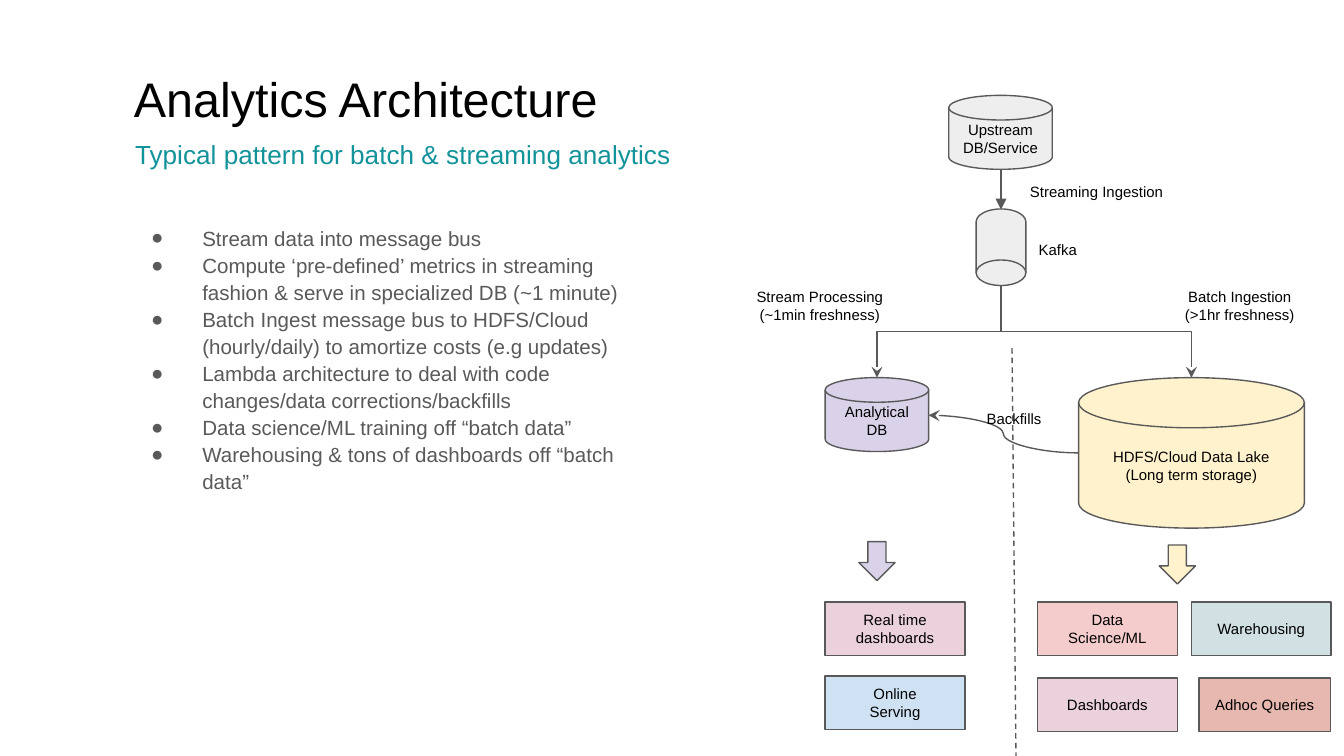
from dataclasses import dataclass

from lxml.etree import SubElement
from pptx import Presentation
from pptx.dml.color import RGBColor
from pptx.enum.dml import MSO_LINE
from pptx.enum.shapes import MSO_CONNECTOR, MSO_SHAPE
from pptx.enum.text import MSO_ANCHOR, PP_ALIGN
from pptx.oxml.ns import qn
from pptx.util import Inches, Pt


@dataclass(frozen=True)
class Theme:
    """Colours, font and type sizes of the slide."""
    font: str = "Arial"
    title_size: int = 26
    subtitle_size: int = 14
    body_size: int = 11
    label_size: int = 8
    line_width: float = 0.75
    black: str = "000000"
    teal: str = "12939A"
    gray: str = "595959"
    silver: str = "EEEEEE"
    lavender: str = "D9D2E9"
    cream: str = "FFF2CC"
    pink: str = "EAD1DC"
    sky: str = "CFE2F3"
    rose: str = "F4CCCC"
    mist: str = "D0E0E3"
    clay: str = "E6B8AF"


THEME = Theme()
WIDTH = Inches(10)
HEIGHT = WIDTH * 9 // 16
CELL = WIDTH / 100


@dataclass(frozen=True)
class Region:
    """A part of the slide whose lengths are counted in grid cells."""
    shapes: object
    left: float
    top: float

    def point(self, col, row):
        """Return the slide position of a grid point."""
        return round((self.left + col) * CELL), round((self.top + row) * CELL)

    def area(self, col, row, cols, rows):
        """Return left, top, width and height of a grid area."""
        return *self.point(col, row), round(cols * CELL), round(rows * CELL)


def write(frame, text, *, size=THEME.label_size, color=THEME.black, inset=0.1,
          align=PP_ALIGN.CENTER, anchor=MSO_ANCHOR.TOP, spacing=None, bullet=None):
    """Fill a text frame with one paragraph per line of text."""
    frame.word_wrap = True
    frame.vertical_anchor = anchor
    frame.margin_left = frame.margin_right = Inches(inset)
    frame.margin_top = frame.margin_bottom = Inches(inset)
    for index, line in enumerate(text.split("\n")):
        paragraph = frame.paragraphs[0] if index == 0 else frame.add_paragraph()
        paragraph.text = line
        if bullet:
            props = paragraph._p.get_or_add_pPr()
            props.set("marL", str(Inches(0.5)))
            props.set("indent", str(Inches(-0.38)))
            SubElement(SubElement(props, qn("a:buClr")), qn("a:srgbClr"), val=color)
            SubElement(props, qn("a:buSzPts"), val=str(size * 100))
            SubElement(props, qn("a:buFont"), typeface=THEME.font)
            SubElement(props, qn("a:buChar"), char=bullet)
        paragraph.alignment = align
        paragraph.line_spacing = spacing
        for run in paragraph.runs:
            run.font.name = THEME.font
            run.font.size = Pt(size)
            run.font.color.rgb = RGBColor.from_string(color)


def add_text(region, area, text, **style):
    """Place a text box in a region."""
    write(region.shapes.add_textbox(*region.area(*area)).text_frame, text, **style)


def add_node(region, kind, area, fill, text="", rotation=0):
    """Place an outlined shape with a centred label."""
    node = region.shapes.add_shape(kind, *region.area(*area))
    node.shadow.inherit = False
    node.rotation = rotation
    node.fill.solid()
    node.fill.fore_color.rgb = RGBColor.from_string(fill)
    node.line.color.rgb = RGBColor.from_string(THEME.gray)
    node.line.width = Pt(THEME.line_width)
    if text:
        write(node.text_frame, text, anchor=MSO_ANCHOR.MIDDLE)


def add_link(region, start, end, kind=MSO_CONNECTOR.STRAIGHT, head=None, dash=None):
    """Draw a connector between two grid points."""
    link = region.shapes.add_connector(kind, *region.point(*start), *region.point(*end))
    link.line.color.rgb = RGBColor.from_string(THEME.gray)
    link.line.width = Pt(THEME.line_width)
    link.line.dash_style = dash
    if head:
        SubElement(link.line._get_or_add_ln(), qn("a:tailEnd"), type=head)
    SubElement(link._element.spPr, qn("a:effectLst"))
    return link


def add_drop(region, start, end):
    """Draw an elbow that leaves and arrives vertically, by turning a level one."""
    middle_col, middle_row = (start[0] + end[0]) / 2, (start[1] + end[1]) / 2
    half_drop, half_span = (end[1] - start[1]) / 2, abs(end[0] - start[0]) / 2
    rightward = end[0] > start[0]
    side = half_drop if rightward else -half_drop
    link = add_link(region, (middle_col + side, middle_row - half_span),
                    (middle_col - side, middle_row + half_span),
                    MSO_CONNECTOR.ELBOW, "stealth")
    quarter_turns = 3 if rightward else 1
    link._element.spPr.find(qn("a:xfrm")).set("rot", str(quarter_turns * 90 * 60000))


def draw_heading(region):
    """Place the title and subtitle."""
    style = {"align": PP_ALIGN.LEFT, "inset": 0.04}
    add_text(region, (0, 0, 56.1, 4.7), "Analytics Architecture",
             size=THEME.title_size, **style)
    add_text(region, (0.1, 4.9, 51.7, 2.9),
             "Typical pattern for batch & streaming analytics",
             size=THEME.subtitle_size, color=THEME.teal, spacing=1.1, **style)


def draw_points(region):
    """Place the bulleted description."""
    points = [
        "Stream data into message bus",
        "Compute ‘pre-defined’ metrics in streaming fashion & serve in specialized DB (~1 minute)",
        "Batch Ingest message bus to HDFS/Cloud (hourly/daily) to amortize costs (e.g updates)",
        "Lambda architecture to deal with code changes/data corrections/backfills",
        "Data science/ML training off “batch data”",
        "Warehousing & tons of dashboards off “batch data”",
    ]
    add_text(region, (0, 0, 39.5, 33.1), "\n".join(points), size=THEME.body_size,
             color=THEME.gray, inset=0.04, align=PP_ALIGN.LEFT, spacing=1.1, bullet="●")


def draw_ingestion(region):
    """Draw the upstream source feeding the message bus."""
    add_node(region, MSO_SHAPE.FLOWCHART_MAGNETIC_DISK, (0, 0, 7.7, 5.5),
             THEME.silver, "Upstream DB/Service")
    add_node(region, MSO_SHAPE.FLOWCHART_DIRECT_ACCESS_STORAGE, (1.03, 9.45, 5.7, 3.7),
             THEME.silver, rotation=90)
    add_text(region, (5.7, 10.15, 5.4, 2.9), "Kafka", align=PP_ALIGN.LEFT)
    add_link(region, (3.88, 5.5), (3.88, 8.5), head="triangle")
    add_text(region, (5, 5.8, 12, 2.9), "Streaming Ingestion")


def draw_storage(region):
    """Draw the streaming and batch stores with the flows between them."""
    add_node(region, MSO_SHAPE.FLOWCHART_MAGNETIC_DISK, (7.5, 7.7, 7.7, 5.5),
             THEME.lavender, "Analytical\nDB")
    add_node(region, MSO_SHAPE.FLOWCHART_MAGNETIC_DISK, (26.35, 7.7, 16.8, 11.2),
             THEME.cream, "HDFS/Cloud Data Lake\n(Long term storage)")
    for store_col in (11.35, 34.75):
        add_drop(region, (20.58, 0.8), (store_col, 7.7))
    add_link(region, (21.4, 5.5), (21.7, 36.3), dash=MSO_LINE.DASH)
    add_link(region, (26.35, 13.3), (15.2, 10.5), MSO_CONNECTOR.CURVE, "stealth")
    add_text(region, (0, 0, 14.2, 4), "Stream Processing\v(~1min freshness)")
    add_text(region, (32.35, 0, 12, 4), "Batch Ingestion (>1hr freshness)")
    add_text(region, (16.65, 9.4, 9.8, 4), "Backfills")


def draw_consumers(region):
    """Draw the uses of each store below its block arrow."""
    add_node(region, MSO_SHAPE.DOWN_ARROW, (2.5, 0, 2.7, 2.9), THEME.lavender)
    add_node(region, MSO_SHAPE.DOWN_ARROW, (24.85, 0.25, 2.7, 2.9), THEME.cream)
    uses = [
        (0, 4.5, 10.4, THEME.pink, "Real time dashboards"),
        (0, 10, 10.4, THEME.sky, "Online\vServing"),
        (15.8, 4.5, 10.4, THEME.rose, "Data Science/ML"),
        (27.25, 4.5, 10.4, THEME.mist, "Warehousing"),
        (15.8, 10.15, 10.4, THEME.pink, "Dashboards"),
        (27.8, 10.15, 9.8, THEME.clay, "Adhoc Queries"),
    ]
    for col, row, cols, fill, label in uses:
        add_node(region, MSO_SHAPE.RECTANGLE, (col, row, cols, 4), fill, label)


def main():
    """Build and save the slide."""
    deck = Presentation()
    deck.slide_width, deck.slide_height = WIDTH, HEIGHT
    shapes = deck.slides.add_slide(deck.slide_layouts[6]).shapes
    draw_heading(Region(shapes, 9.55, 4.75))
    draw_points(Region(shapes, 9.65, 16.2))
    draw_storage(Region(shapes, 53.9, 20.4))
    draw_ingestion(Region(shapes, 70.6, 7.1))
    draw_consumers(Region(shapes, 61.4, 40.3))
    deck.save("out.pptx")


if __name__ == "__main__":
    main()
